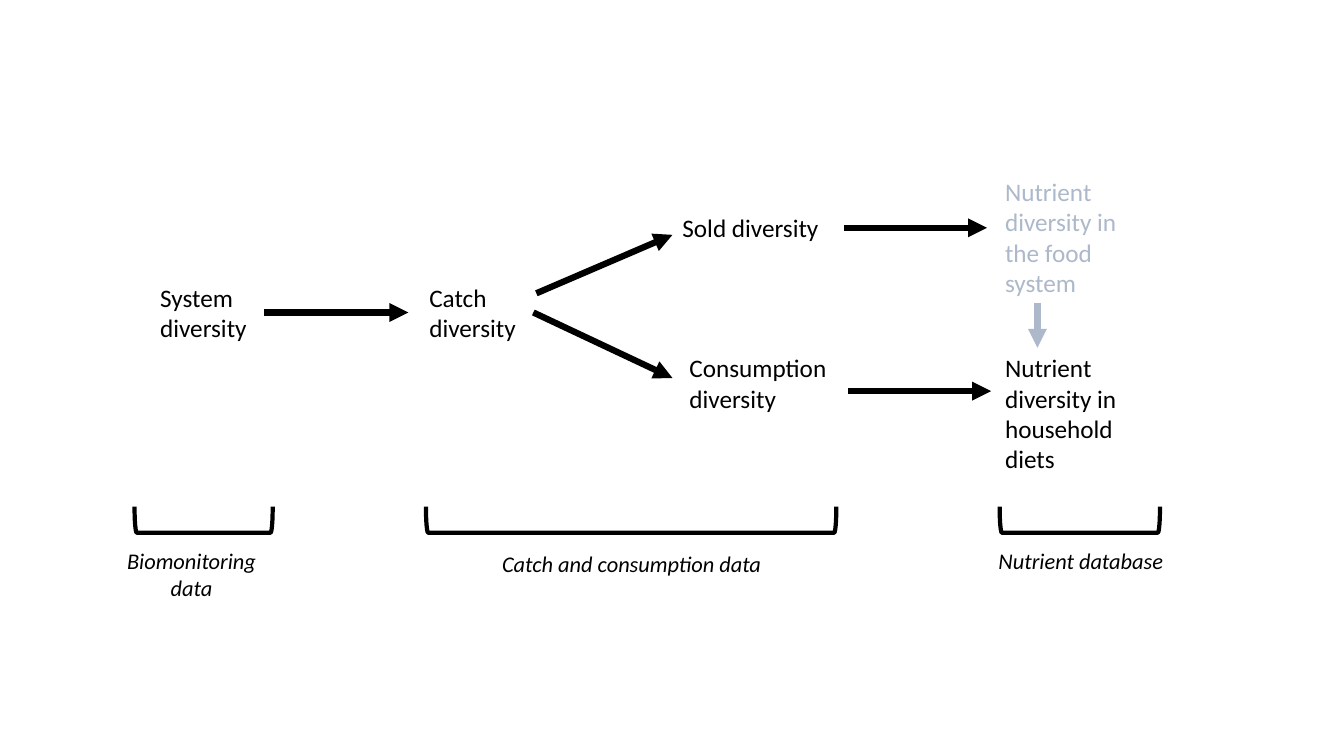
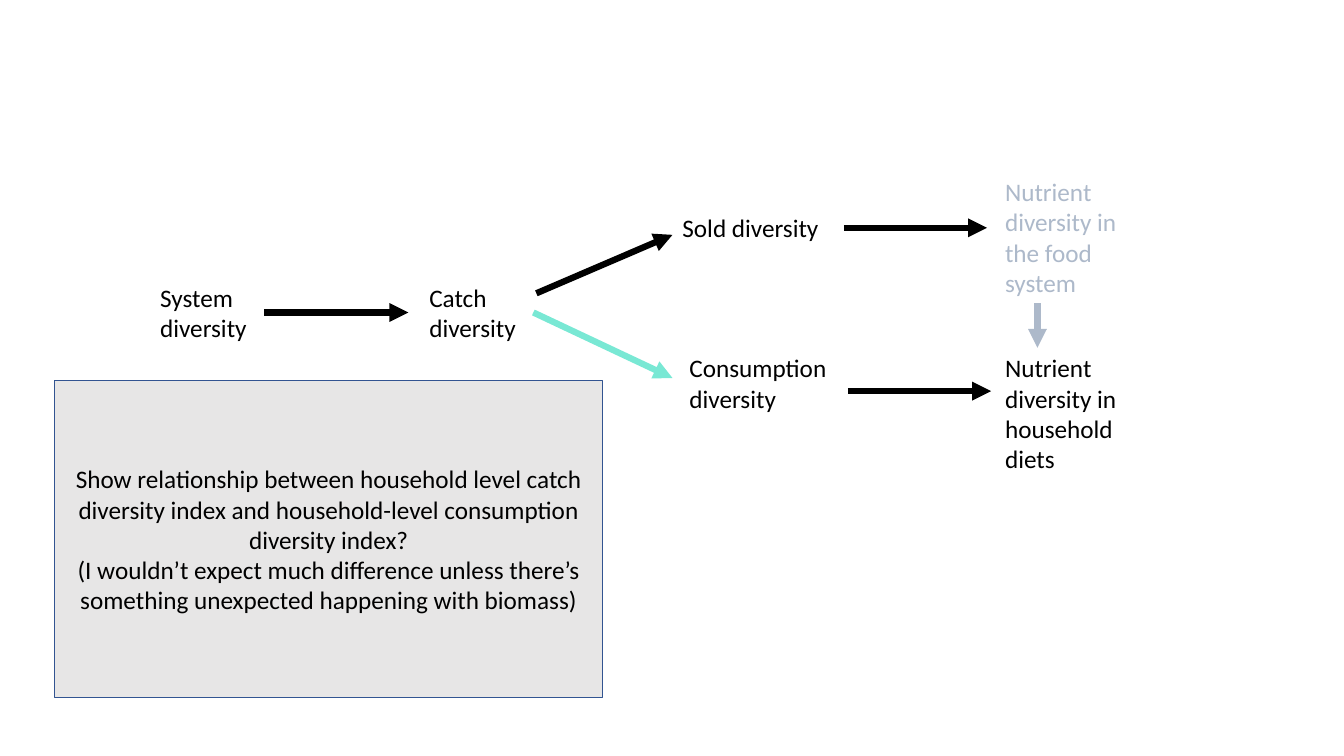
from lxml import etree
from pptx import Presentation, util as u
from pptx.dml.color import RGBColor
from pptx.enum import shapes, text
from pptx.oxml import ns

BLACK, MUTED, HIGHLIGHT = "000000", "ADB9CA", "79E8D4"
PANEL_FILL, PANEL_LINE = "E7E6E6", "325491"
FONT = "Calibri"
LABEL = {"size": u.Pt(18), "name": FONT}
CAPTION = {"size": u.Pt(16), "name": FONT, "italic": True}

# text, left, top, width, height, colour
LABELS = [
    ("System diversity", 1.49, 2.75, 1.13, 0.71, BLACK),
    ("Catch diversity", 4.16, 2.75, 1.13, 0.71, BLACK),
    ("Consumption diversity", 6.74, 3.45, 1.63, 0.71, BLACK),
    ("Nutrient diversity in household diets", 9.87, 3.45, 1.63, 1.31, BLACK),
    ("Sold diversity", 6.67, 2.06, 1.63, 0.4, BLACK),
    ("Nutrient diversity in the food system", 9.87, 1.7, 1.63, 1.31, MUTED),
]
# start, end, colour
ARROWS = [
    ((2.62, 3.1), (4.05, 3.1), BLACK),
    ((8.41, 3.88), (9.83, 3.88), BLACK),
    ((5.32, 2.91), (6.67, 2.33), BLACK),
    ((8.37, 2.26), (9.79, 2.26), BLACK),
    ((10.29, 3.01), (10.29, 3.45), MUTED),
]
CATCH_TO_CONSUMPTION = ((5.29, 3.1), (6.67, 3.75))
# centre x, centre y, span
BRACKETS = [(2.02, 5.155, 1.37), (6.26, 5.155, 4.07), (10.71, 5.155, 1.59)]
BRACKET_DEPTH = 0.26
# text, left, top, width, height
CAPTIONS = [
    ("Biomonitoring data", 0.97, 5.38, 1.86, 0.64),
    ("Catch and consumption data", 4.23, 5.41, 4.07, 0.37),
    ("Nutrient database", 9.79, 5.38, 1.86, 0.37),
]
QUESTION = [
    "Show relationship between household level catch diversity index "
    "and household-level consumption diversity index?",
    "(I wouldn’t expect much difference unless there’s something "
    "unexpected happening with biomass)",
]


def colour(value):
    return RGBColor.from_string(value)


def inches(*values):
    return [u.Inches(value) for value in values]


def set_line(line, value, width):
    line.color.rgb = colour(value)
    line.width = u.Pt(width)


def write(frame, paragraphs, font_format, font_colour=BLACK,
          alignment=text.PP_ALIGN.LEFT):
    frame.word_wrap = True
    frame.text = "\n".join(paragraphs)
    for paragraph in frame.paragraphs:
        paragraph.alignment = alignment
        for run in paragraph.runs:
            for name, value in font_format.items():
                setattr(run.font, name, value)
            run.font.color.rgb = colour(font_colour)


def add_text(slide, wording, box, *style):
    frame = slide.shapes.add_textbox(*inches(*box)).text_frame
    write(frame, [wording], *style)
    frame.auto_size = text.MSO_AUTO_SIZE.SHAPE_TO_FIT_TEXT


def add_arrow(slide, start, end, line_colour):
    arrow = slide.shapes.add_connector(
        shapes.MSO_CONNECTOR.STRAIGHT, *inches(*start, *end))
    set_line(arrow.line, line_colour, 4.5)
    etree.SubElement(arrow.line._get_or_add_ln(), ns.qn("a:tailEnd"),
                     type="triangle")
    etree.SubElement(arrow._element.spPr, ns.qn("a:effectLst"))


def add_bracket(slide, centre_x, centre_y, span):
    """Draw a bracket that opens upwards."""
    bracket = slide.shapes.add_shape(
        shapes.MSO_SHAPE.LEFT_BRACKET,
        *inches(centre_x - BRACKET_DEPTH / 2, centre_y - span / 2,
                BRACKET_DEPTH, span))
    bracket.rotation = 270
    bracket.shadow.inherit = False
    bracket.fill.background()
    set_line(bracket.line, BLACK, 3)


def add_panel(slide, paragraphs, box):
    panel = slide.shapes.add_shape(shapes.MSO_SHAPE.RECTANGLE, *inches(*box))
    panel.shadow.inherit = False
    panel.fill.solid()
    panel.fill.fore_color.rgb = colour(PANEL_FILL)
    set_line(panel.line, PANEL_LINE, 0.75)
    panel.text_frame.vertical_anchor = text.MSO_ANCHOR.MIDDLE
    write(panel.text_frame, paragraphs, LABEL, BLACK, text.PP_ALIGN.CENTER)


def add_pathway_slide(presentation, consumption_colour=BLACK):
    """Add a slide with the flow from system diversity to nutrients."""
    slide = presentation.slides.add_slide(presentation.slide_layouts[6])
    for wording, *box, font_colour in LABELS:
        add_text(slide, wording, box, LABEL, font_colour)
    for arrow in [*ARROWS, (*CATCH_TO_CONSUMPTION, consumption_colour)]:
        add_arrow(slide, *arrow)
    return slide


def main():
    presentation = Presentation()
    presentation.slide_width, presentation.slide_height = inches(13.33, 7.5)

    data_slide = add_pathway_slide(presentation)
    for bracket in BRACKETS:
        add_bracket(data_slide, *bracket)
    for wording, *box in CAPTIONS:
        add_text(data_slide, wording, box, CAPTION, BLACK,
                 text.PP_ALIGN.CENTER)

    question_slide = add_pathway_slide(presentation, HIGHLIGHT)
    add_panel(question_slide, QUESTION, (0.54, 3.78, 5.44, 3.14))

    presentation.save("out.pptx")


if __name__ == "__main__":
    main()
